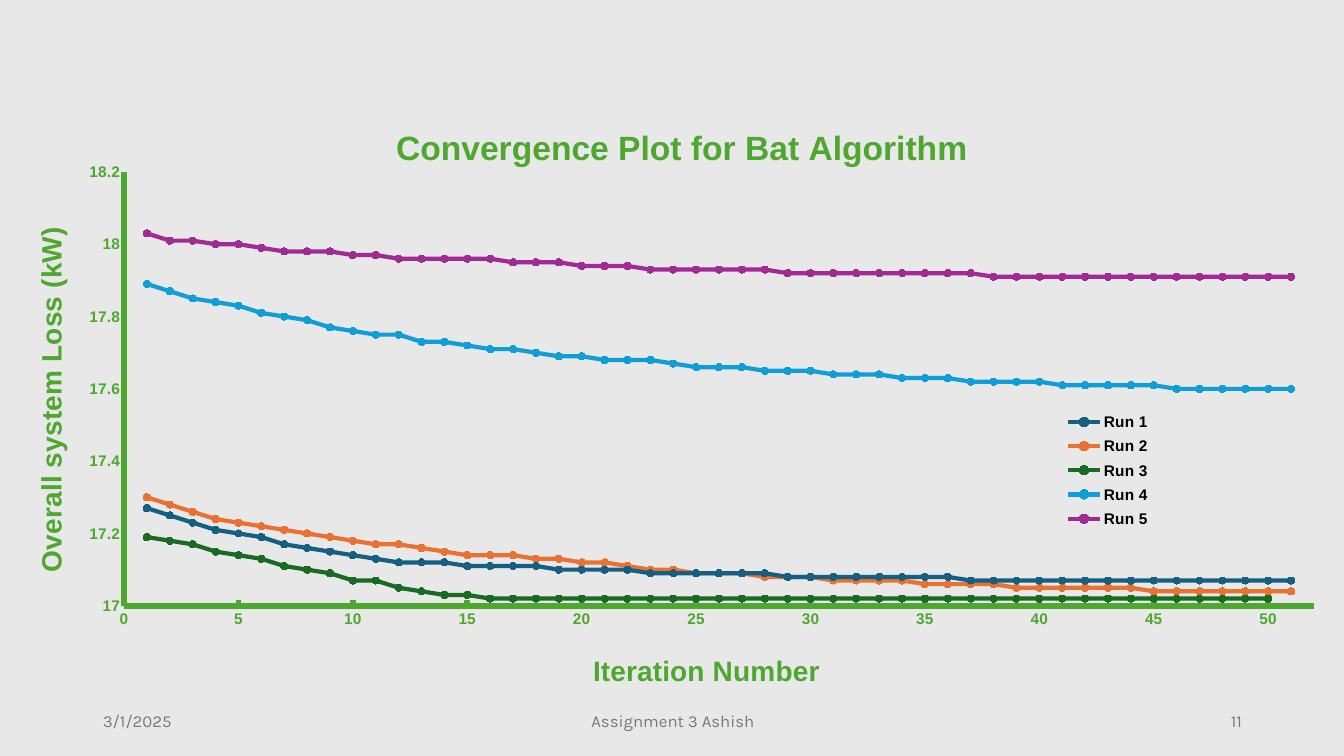
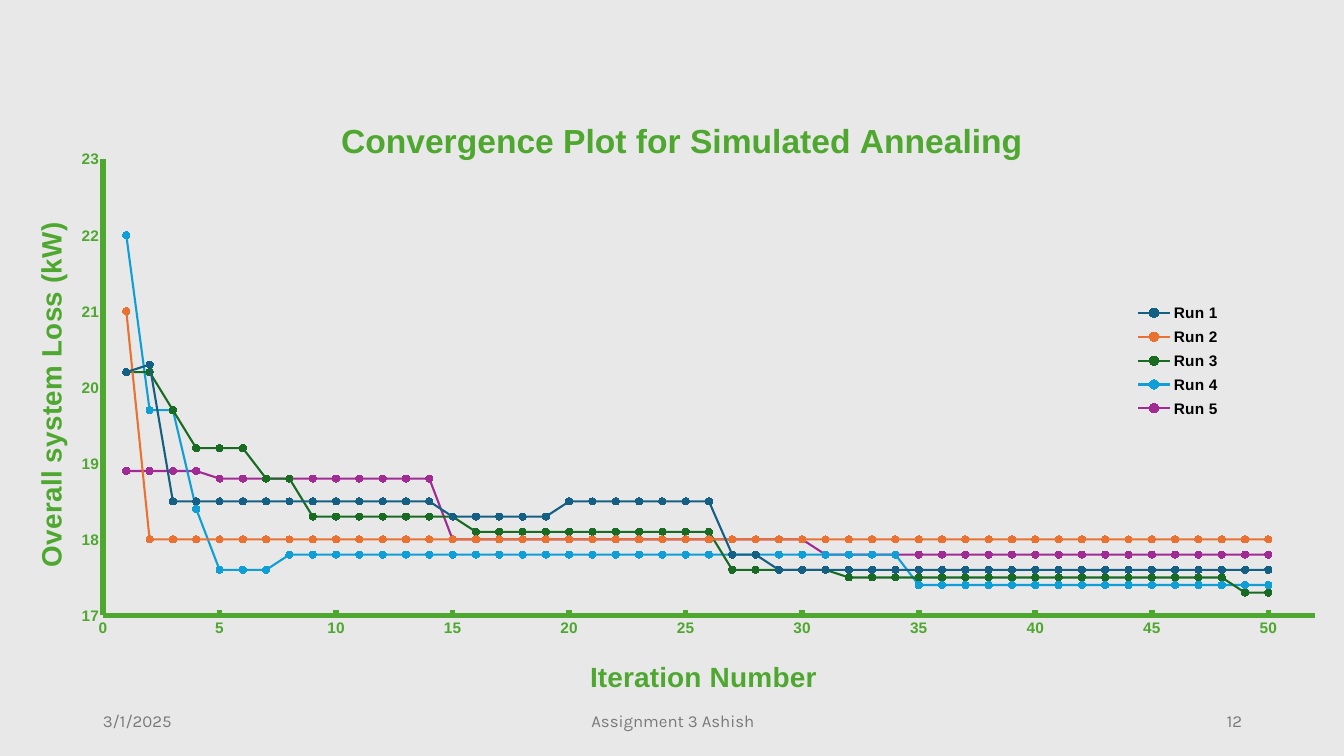
from pptx import Presentation
from pptx import util as u
from pptx.chart.data import XyChartData
from pptx.dml.color import RGBColor
from pptx.enum import chart as ch
from pptx.enum import text
from pptx.oxml import ns, parse_xml

COLORS = {
    "ground": "E8E8E8",
    "green": "4EA72E",
    "gray": "797979",
    "black": "000000",
}
RUN_COLORS = ["156082", "E97132", "196B24", "0F9ED5", "A02B93"]
SCALE = 12192000 // 1344
SCALE_EXACT = 12192000 / 1344
CHART_BOX = (19, 93, 1313, 609)
NO_FILL = f"<c:spPr {ns.nsdecls('c', 'a')}><a:noFill/><a:ln><a:noFill/></a:ln></c:spPr>"

BAT_RUNS = [
    [17.27, 17.25, 17.23, 17.21, 17.2, 17.19, 17.17, 17.16, 17.15, 17.14, 17.13,
     (17.12, 3), (17.11, 4), (17.1, 4), (17.09, 6), (17.08, 8), (17.07, 15)],
    [17.3, 17.28, 17.26, 17.24, 17.23, 17.22, 17.21, 17.2, 17.19, 17.18,
     (17.17, 2), 17.16, 17.15, (17.14, 3), (17.13, 2), (17.12, 2), 17.11,
     (17.1, 2), (17.09, 3), (17.08, 3), (17.07, 4), (17.06, 4), (17.05, 6),
     (17.04, 7)],
    [17.19, 17.18, 17.17, 17.15, 17.14, 17.13, 17.11, 17.1, 17.09, (17.07, 2),
     17.05, 17.04, (17.03, 2), (17.02, 35)],
    [17.89, 17.87, 17.85, 17.84, 17.83, 17.81, 17.8, 17.79, 17.77, 17.76,
     (17.75, 2), (17.73, 2), 17.72, (17.71, 2), 17.7, (17.69, 2), (17.68, 3),
     17.67, (17.66, 3), (17.65, 3), (17.64, 3), (17.63, 3), (17.62, 4),
     (17.61, 5), (17.6, 6)],
    [18.03, (18.01, 2), (18, 2), 17.99, (17.98, 3), (17.97, 2), (17.96, 5),
     (17.95, 3), (17.94, 3), (17.93, 6), (17.92, 9), (17.91, 14)],
]
ANNEALING_RUNS = [
    [20.2, 20.3, (18.5, 12), (18.3, 5), (18.5, 7), (17.8, 2), (17.6, 22)],
    [21, (18, 49)],
    [(20.2, 2), 19.7, (19.2, 3), (18.8, 2), (18.3, 7), (18.1, 11), (17.6, 5),
     (17.5, 17), (17.3, 2)],
    [22, (19.7, 2), 18.4, (17.6, 3), (17.8, 27), (17.4, 16)],
    [(18.9, 4), (18.8, 10), (18, 16), (17.8, 20)],
]


def px(length):
    return u.Emu(round(length * SCALE_EXACT))


def rgb(name):
    return RGBColor.from_string(COLORS.get(name, name))


def expand(steps):
    values = []
    for step in steps:
        value, count = step if isinstance(step, tuple) else (step, 1)
        values += [value] * count
    return values


def place(element, index, left, top, width=None, height=None, inner=False):
    for old in element.findall(ns.qn("c:layout")):
        element.remove(old)
    chart_left, chart_top, chart_width, chart_height = CHART_BOX
    parts = ['<c:layoutTarget val="inner"/>'] if inner else []
    parts += ['<c:xMode val="edge"/>', '<c:yMode val="edge"/>']
    shares = {"x": (left - chart_left) / chart_width, "y": (top - chart_top) / chart_height}
    if width:
        shares.update(w=width / chart_width, h=height / chart_height)
    parts += [f'<c:{key} val="{share:.4f}"/>' for key, share in shares.items()]
    element.insert(index, parse_xml(
        f"<c:layout {ns.nsdecls('c')}><c:manualLayout>{''.join(parts)}"
        "</c:manualLayout></c:layout>"))


class Report:
    def __init__(self):
        self.deck = Presentation()
        self.deck.slide_width, self.deck.slide_height = px(1344), px(756)
        self.page = None

    def new_page(self, number):
        self.page = self.deck.slides.add_slide(self.deck.slide_layouts[6])
        fill = self.page.background.fill
        fill.solid()
        fill.fore_color.rgb = rgb("ground")
        align = text.PP_ALIGN
        self.footer("3/1/2025", 93, 302, align.LEFT)
        self.footer("Assignment 3 Ashish", 446, 454, align.CENTER)
        self.footer(str(number), 950, 302, align.RIGHT)

    def style(self, font, size, color, face="Arial", bold=True):
        font.size, font.name, font.bold = u.Pt(size), face, bold
        font.color.rgb = rgb(color)

    def footer(self, words, left, width, align):
        box = self.page.shapes.add_textbox(px(left), px(701), px(width), px(40))
        frame = box.text_frame
        frame.word_wrap = True
        frame.vertical_anchor = text.MSO_ANCHOR.MIDDLE
        para = frame.paragraphs[0]
        para.alignment = align
        span = para.add_run()
        span.text = words
        self.style(span.font, 12, "gray", "Karla", False)

    def title(self, title, words, size, corner, turned=False):
        span = title.text_frame.paragraphs[0].add_run()
        span.text = words
        self.style(span.font, size, "green")
        if turned:
            frame = title.element.xpath(".//a:bodyPr")[0]
            frame.set("rot", "-5400000")
            frame.set("vert", "horz")
        place(title.element, 1, *corner)

    def axis(self, axis, low, high, step, tick, words, corner, turned=False):
        axis.minimum_scale, axis.maximum_scale, axis.major_unit = low, high, step
        axis.has_major_gridlines = False
        axis.major_tick_mark, axis.minor_tick_mark = tick, ch.XL_TICK_MARK.NONE
        axis.format.line.color.rgb = rgb("green")
        axis.format.line.width = u.Pt(4)
        self.style(axis.tick_labels.font, 11, "green")
        self.title(axis.axis_title, words, 20, corner, turned)

    def series(self, series, color, width):
        series.smooth = False
        series.format.line.color.rgb = rgb(color)
        series.format.line.width = u.Pt(width)
        marker = series.marker
        marker.style, marker.size = ch.XL_MARKER_STYLE.CIRCLE, 5
        marker.format.fill.solid()
        marker.format.fill.fore_color.rgb = rgb(color)
        marker.format.line.color.rgb = rgb(color)

    def convergence(self, name, runs, top, step, line, plot, heading, caption, legend):
        data = XyChartData()
        for number, steps in enumerate(runs, 1):
            points = data.add_series(f"Run {number}")
            for iteration, loss in enumerate(expand(steps), 1):
                points.add_data_point(iteration, loss)
        chart = self.page.shapes.add_chart(
            ch.XL_CHART_TYPE.XY_SCATTER_LINES, *map(px, CHART_BOX), data).chart
        self.style(chart.font, 11, "black")
        chart.plots[0].vary_by_categories = False
        for series, color in zip(chart.plots[0].series, RUN_COLORS):
            self.series(series, color, line)
        chart.has_title = True
        self.title(chart.chart_title, f"Convergence Plot for {name}", 24, heading)
        marks = ch.XL_TICK_MARK
        self.axis(chart.category_axis, 0, 52, 5, marks.INSIDE, "Iteration Number", caption)
        self.axis(chart.value_axis, 17, top, step, marks.NONE,
                  "Overall system Loss (kW)", (28, 222), True)
        chart.has_legend = True
        chart.legend.position = ch.XL_LEGEND_POSITION.RIGHT
        chart.legend.include_in_layout = False
        self.style(chart.legend.font, 11, "black")
        place(chart.element.xpath(".//c:legend")[0], 1, *legend, 94, 127)
        area = chart.element.xpath(".//c:plotArea")[0]
        place(area, 0, *plot, inner=True)
        area.append(parse_xml(NO_FILL))
        chart.element.find(ns.qn("c:chart")).addnext(parse_xml(NO_FILL))


def main():
    report = Report()
    report.new_page(11)
    report.convergence("Bat Algorithm", BAT_RUNS, 18.2, 0.2, 3,
                       plot=(124, 172, 1190, 434), heading=(390, 120),
                       caption=(588, 648), legend=(1061, 407))
    report.new_page(12)
    report.convergence("Simulated Annealing", ANNEALING_RUNS, 23, 1, 1.5,
                       plot=(103, 160, 1212, 461), heading=(335, 114),
                       caption=(585, 660), legend=(1131, 300))
    report.deck.save("out.pptx")


if __name__ == "__main__":
    main()
